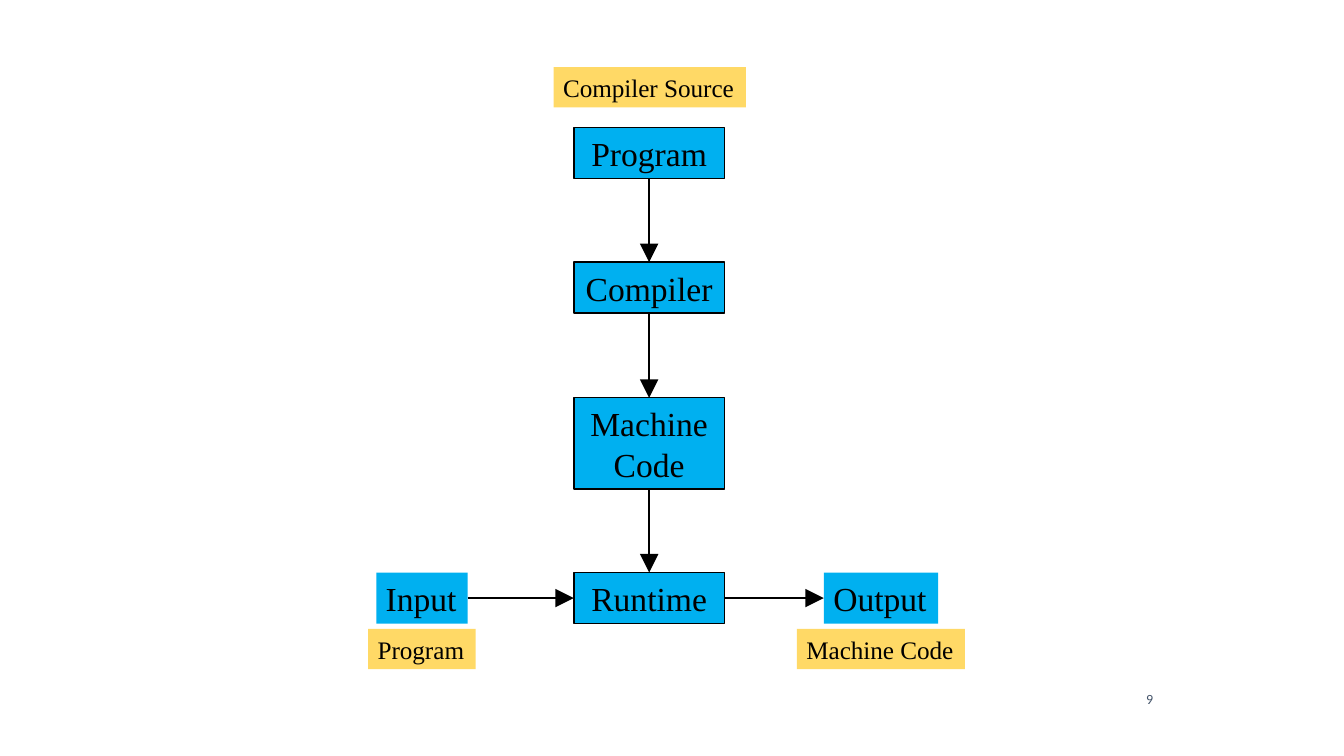
import pptx
import pptx.util
import pptx.dml.color
import pptx.enum.shapes
import pptx.enum.text
import pptx.oxml.ns
import lxml.etree

Inches = pptx.util.Inches
Pt = pptx.util.Pt
RGBColor = pptx.dml.color.RGBColor
ALIGN = pptx.enum.text.PP_ALIGN
qn = pptx.oxml.ns.qn

BLUE = RGBColor(0x00, 0xB0, 0xF0)
GOLD = RGBColor(0xFF, 0xD9, 0x66)
BLACK = RGBColor(0, 0, 0)
SLATE = RGBColor(0x44, 0x54, 0x6A)

deck = pptx.Presentation()
deck.slide_width = Inches(10)
deck.slide_height = Inches(10) * 9 // 16
slide = deck.slides.add_slide(deck.slide_layouts[6])


def write(shape, text, size, font, color, align):
    frame = shape.text_frame
    frame.word_wrap = True
    frame.vertical_anchor = pptx.enum.text.MSO_ANCHOR.TOP
    frame.margin_left = frame.margin_right = Inches(0.07)
    frame.margin_top = frame.margin_bottom = Inches(0.04)
    frame.text = text
    para = frame.paragraphs[0]
    para.alignment = align
    run = para.runs[0].font
    run.size = Pt(size)
    run.name = font
    run.color.rgb = color
    return frame


mid = 4.83
wide = 1.12
left, right = mid - wide / 2, mid + wide / 2
low = 4.26
row = 0.38
tag = 0.3

boxes = [
    ("Program", left, 0.95, wide, row, BLUE, 18, True),
    ("Compiler", left, 1.95, wide, row, BLUE, 18, True),
    ("Machine Code", left, 2.96, wide, 0.68, BLUE, 18, True),
    ("Runtime", left, low, wide, row, BLUE, 18, True),
    ("Input", 2.8, low, 0.68, row, BLUE, 18, False),
    ("Output", 6.13, low, 0.85, row, BLUE, 18, False),
    ("Compiler Source", 4.12, 0.5, 1.43, tag, GOLD, 13.5, False),
    ("Program", 2.74, 4.68, 0.8, tag, GOLD, 13.5, False),
    ("Machine Code", 5.93, 4.68, 1.25, tag, GOLD, 13.5, False),
]
for text, x, y, w, h, fill, size, step in boxes:
    box = slide.shapes.add_shape(
        pptx.enum.shapes.MSO_SHAPE.RECTANGLE,
        Inches(x), Inches(y), Inches(w), Inches(h))
    box.shadow.inherit = False
    box.fill.solid()
    box.fill.fore_color.rgb = fill
    align = ALIGN.CENTER if step else ALIGN.LEFT
    frame = write(box, text, size, "Times New Roman", BLACK, align)
    if step:
        box.line.color.rgb = BLACK
        box.line.width = Pt(0.75)
    else:
        box.line.fill.background()
        frame.word_wrap = False

steps = boxes[:4]
arrows = [(mid, a[2] + a[4], mid, b[2]) for a, b in zip(steps, steps[1:])]
level = low + row / 2
arrows += [(3.48, level, left, level), (right, level, 6.13, level)]
for x, y, to_x, to_y in arrows:
    arrow = slide.shapes.add_connector(
        pptx.enum.shapes.MSO_CONNECTOR.STRAIGHT,
        Inches(x), Inches(y), Inches(to_x), Inches(to_y))
    arrow.line.color.rgb = BLACK
    arrow.line.width = Pt(0.75)
    props = arrow.element.spPr
    lxml.etree.SubElement(props.find(qn("a:ln")), qn("a:tailEnd"),
                          type="triangle", w="lg", len="lg")
    lxml.etree.SubElement(props, qn("a:effectLst"))

page = slide.shapes.add_textbox(
    Inches(8.2), Inches(5.1), Inches(0.45), Inches(0.43))
write(page, "9", 7.5, "Calibri", SLATE, ALIGN.RIGHT)

deck.save("out.pptx")
